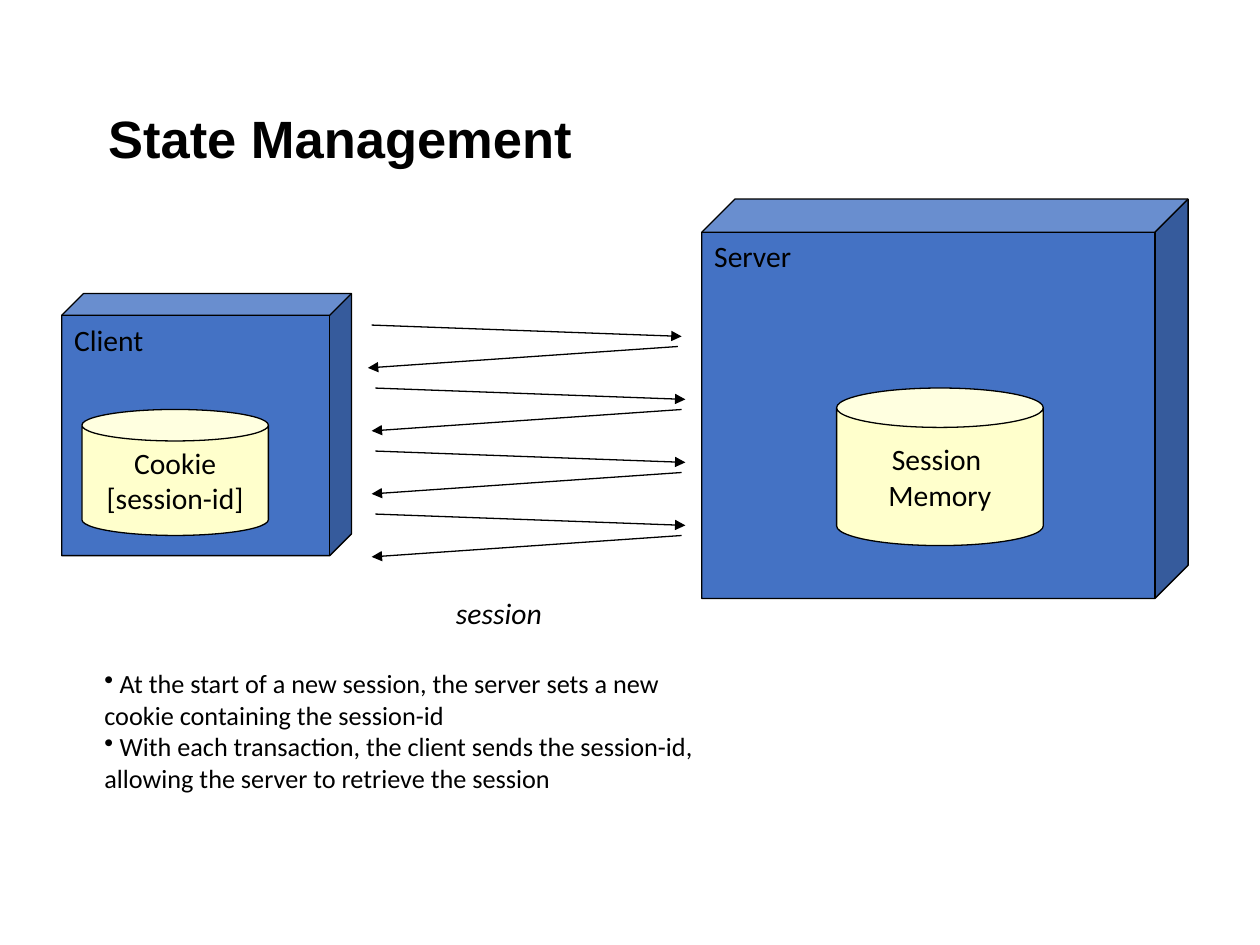
from dataclasses import dataclass

from lxml.etree import SubElement
from pptx import Presentation
from pptx.dml.color import RGBColor
from pptx.enum.shapes import MSO_CONNECTOR, MSO_SHAPE
from pptx.enum.text import MSO_ANCHOR, MSO_AUTO_SIZE, PP_ALIGN
from pptx.oxml.ns import qn
from pptx.util import Inches, Pt


@dataclass(frozen=True)
class Theme:
    ink: RGBColor = RGBColor(0x00, 0x00, 0x00)
    machine: RGBColor = RGBColor(0x44, 0x72, 0xC4)
    store: RGBColor = RGBColor(0xFF, 0xFF, 0xCC)
    title_font: str = "Arial"
    body_font: str = "Calibri"
    title_size: float = 30
    label_size: float = 16.9
    note_size: float = 15
    line_width: float = 0.75


THEME = Theme()


def add_run(paragraph, text, size, font=THEME.body_font, bold=False, italic=False):
    run = paragraph.add_run()
    run.text = text
    run.font.name = font
    run.font.size = Pt(size)
    run.font.bold = bold
    run.font.italic = italic
    run.font.color.rgb = THEME.ink


def next_paragraph(frame, index):
    return frame.add_paragraph() if index else frame.paragraphs[0]


def add_text_frame(slide, box, wrap=True):
    frame = slide.shapes.add_textbox(*map(Inches, box)).text_frame
    frame.word_wrap = wrap
    return frame


def add_solid(slide, box, preset, adjustment, fill, lines, anchor, alignment):
    """Add a cube or can with one label paragraph per line."""
    shape = slide.shapes.add_shape(preset, *map(Inches, box))
    shape.adjustments[0] = adjustment
    shape.shadow.inherit = False
    shape.fill.solid()
    shape.fill.fore_color.rgb = fill
    shape.line.color.rgb = THEME.ink
    shape.line.width = Pt(THEME.line_width)
    frame = shape.text_frame
    frame.word_wrap = False
    frame.vertical_anchor = anchor
    for index, line in enumerate(lines):
        paragraph = next_paragraph(frame, index)
        paragraph.alignment = alignment
        add_run(paragraph, line, THEME.label_size)


def add_machine(slide, box, name, store_box, store_lines):
    """Add a cube holding a data store; store_box is relative to the cube."""
    left, top, _, _ = box
    store_left, store_top, width, height = store_box
    add_solid(slide, box, MSO_SHAPE.CUBE, 0.083, THEME.machine, [name],
              MSO_ANCHOR.TOP, PP_ALIGN.LEFT)
    add_solid(slide, (left + store_left, top + store_top, width, height),
              MSO_SHAPE.CAN, 0.25, THEME.store, store_lines,
              MSO_ANCHOR.MIDDLE, PP_ALIGN.CENTER)


def add_arrow(slide, start, end):
    connector = slide.shapes.add_connector(
        MSO_CONNECTOR.STRAIGHT, *map(Inches, (*start, *end)))
    connector.line.color.rgb = THEME.ink
    connector.line.width = Pt(THEME.line_width)
    SubElement(connector.line._get_or_add_ln(), qn("a:tailEnd"), type="triangle")
    SubElement(connector._element.spPr, qn("a:effectLst"))


def add_exchanges(slide, box, count):
    """Add request and response pairs; the first pair sits slightly to the left."""
    left, top, width, height = box
    pitch = height / count
    inset = 0.03
    for index in range(count):
        start = left if index else left - inset
        end = start + width
        y = top + index * pitch
        add_arrow(slide, (start + inset, y), (end, y + 0.09))
        add_arrow(slide, (end - inset, y + 0.17), (start, y + 0.34))


def add_title(slide, box, text):
    frame = add_text_frame(slide, box)
    frame.vertical_anchor = MSO_ANCHOR.MIDDLE
    paragraph = frame.paragraphs[0]
    paragraph.line_spacing = 0.9
    add_run(paragraph, text, THEME.title_size, THEME.title_font, bold=True)


def add_caption(slide, box, text):
    frame = add_text_frame(slide, box, wrap=False)
    frame.auto_size = MSO_AUTO_SIZE.SHAPE_TO_FIT_TEXT
    add_run(frame.paragraphs[0], text, THEME.label_size, italic=True)


def add_notes_list(slide, box, items):
    """Add bulleted items, each given as a tuple of lines."""
    frame = add_text_frame(slide, box)
    frame.auto_size = MSO_AUTO_SIZE.SHAPE_TO_FIT_TEXT
    for index, lines in enumerate(items):
        paragraph = next_paragraph(frame, index)
        properties = paragraph._p.get_or_add_pPr()
        bullet_color = SubElement(properties, qn("a:buClr"))
        SubElement(bullet_color, qn("a:srgbClr"), val=str(THEME.ink))
        SubElement(properties, qn("a:buChar"), char="•")
        for line_index, line in enumerate(lines):
            if line_index:
                paragraph.add_line_break()
            add_run(paragraph, line, THEME.note_size)


def build_state_management(slide):
    add_title(slide, (0.76, 0.4, 8.49, 1.45), "State Management")
    add_machine(slide, (0.49, 2.33, 2.3, 2.08), "Client",
                (0.16, 0.92, 1.48, 1), ["Cookie", "[session-id]"])
    add_machine(slide, (5.57, 1.58, 3.86, 3.17), "Server",
                (1.07, 1.5, 1.64, 1.25), ["Session ", "Memory"])
    add_exchanges(slide, (2.95, 2.58, 2.49, 2), 4)
    add_caption(slide, (3.52, 4.67, 0.89, 0.38), "session")
    add_notes_list(slide, (0.73, 5.25, 8.49, 1.11), [
        (" At the start of a new session, the server sets a new",
         "cookie containing the session-id"),
        (" With each transaction, the client sends the session-id,",
         "allowing the server to retrieve the session"),
    ])


def main():
    presentation = Presentation()
    presentation.slide_width = Inches(10)
    presentation.slide_height = Inches(7.5)
    build_state_management(presentation.slides.add_slide(presentation.slide_layouts[6]))
    presentation.save("out.pptx")


if __name__ == "__main__":
    main()
